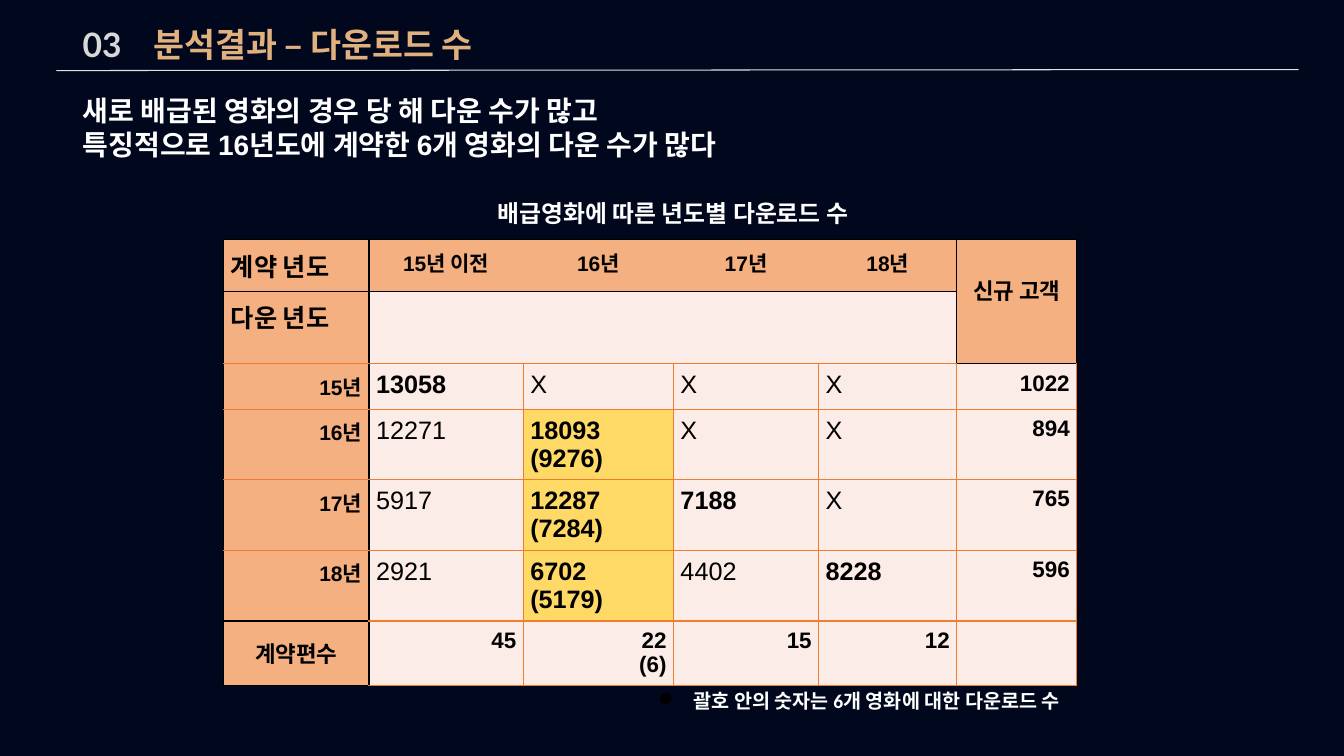
from pptx import Presentation
from pptx.dml.color import RGBColor
from pptx.enum.shapes import MSO_CONNECTOR
from pptx.enum.text import MSO_ANCHOR, MSO_AUTO_SIZE, PP_ALIGN
from pptx.oxml.ns import qn
from pptx.util import Inches, Pt
from lxml.etree import SubElement

COLORS = {
    "bg": "01081D", "white": "FFFFFF", "black": "000000", "number": "D8D8D8",
    "gold": "E0B07E", "rule": "E1E1E2", "head": "F4B081", "body": "FCECE7",
    "highlight": "FFD966", "border": "ED7D31",
}
LEFT, CENTER, RIGHT = PP_ALIGN.LEFT, PP_ALIGN.CENTER, PP_ALIGN.RIGHT
TOP, MIDDLE = MSO_ANCHOR.TOP, MSO_ANCHOR.MIDDLE

TITLE = [[("03", "Lato", "number"), ("\t분석결과 – 다운로드 수", "Lato", "gold")]]
SUMMARY = [
    [("새로 배급된 영화의 경우 당 해 다운 수가 많고", "Calibri", "white")],
    [("특징적으로 ", "Calibri", "white"),
     ("16년도에 계약한 6개 영화의 다운 수가 많다", "Arial", "white")],
]
CAPTION = [[("배급영화에 따른 년도별 다운로드 수", "Calibri", "white")]]
FOOTNOTE = [[("괄호 안의 숫자는 6개 영화에 대한 다운로드 수", "Calibri", "white")]]
DOWNLOADS = [
    ("계약 년도", "15년 이전", "16년", "17년", "18년", "신규 고객"),
    ("다운 년도", "", "", "", "", ""),
    ("15년", "13058", "X", "X", "X", "1022"),
    ("16년", "12271", "18093\n(9276)", "X", "X", "894"),
    ("17년", "5917", "12287\n(7284)", "7188", "X", "765"),
    ("18년", "2921", "6702\n(5179)", "4402", "8228", "596"),
    ("계약편수", "45", "22\n(6)", "15", "12", ""),
]
COL_WIDTHS = (1.44, 1.53, 1.49, 1.44, 1.37, 1.19)
ROW_HEIGHTS = (0.51, 0.68, 0.45, 0.7, 0.7, 0.7, 0.64)
TOTAL_ROW, NEW_COL = len(ROW_HEIGHTS) - 1, len(COL_WIDTHS) - 1


def rgb(name):
    return RGBColor.from_string(COLORS[name])


def format_font(font, size, name, color, bold=True):
    values = {"size": Pt(size), "name": name, "bold": bold}
    for key, value in values.items():
        setattr(font, key, value)
    font.color.rgb = rgb(color)


def fill_text(sp, box, paragraphs, size, align=LEFT, anchor=TOP, inset=0.05):
    for key, value in zip(("left", "top", "width", "height"), box):
        setattr(sp, key, Inches(value))
    tf = sp.text_frame
    frame = {
        "word_wrap": True, "auto_size": MSO_AUTO_SIZE.NONE, "vertical_anchor": anchor,
        "margin_left": Inches(0.1), "margin_right": Inches(0.1),
        "margin_top": Inches(inset), "margin_bottom": Inches(inset),
    }
    for key, value in frame.items():
        setattr(tf, key, value)
    for i, runs in enumerate(paragraphs):
        p = tf.paragraphs[0] if i == 0 else tf.add_paragraph()
        p.alignment, p.space_before = align, Pt(0)
        for text, name, color in runs:
            r = p.add_run()
            r.text = text
            format_font(r.font, size, name, color)
    return tf


def cell_format(row, col):
    if col == 0 and row < 2:
        return 18, LEFT, True
    if row == 0:
        return (16 if col == NEW_COL else 15), CENTER, True
    if row == TOTAL_ROW:
        return 16, (CENTER if col == 0 else RIGHT), True
    if col in (0, NEW_COL):
        return (15 if col == 0 else 16), RIGHT, True
    return 18, LEFT, col == row - 1 or "(" in DOWNLOADS[row][col]


def cell_fill(row, col):
    if col == 0 or row == 0 or (row == 1 and col == NEW_COL):
        return "head"
    return "highlight" if row < TOTAL_ROW and "(" in DOWNLOADS[row][col] else "body"


def vertical_edge(row, x):
    if x < 2:
        return "black"
    if row < 2:
        return "black" if x >= NEW_COL else None
    return "border"


def horizontal_edge(y, col):
    if y == 1:
        return None if col == NEW_COL else "black"
    if y == 0 or (y == 2 and col == NEW_COL) or (y >= TOTAL_ROW and col == 0):
        return "black"
    return "border"


def add_borders(cell, row, col):
    edges = {
        "a:lnL": vertical_edge(row, col), "a:lnR": vertical_edge(row, col + 1),
        "a:lnT": horizontal_edge(row, col), "a:lnB": horizontal_edge(row + 1, col),
    }
    tc_pr = cell._tc.get_or_add_tcPr()
    for i, (tag, color) in enumerate(edges.items()):
        ln = SubElement(tc_pr, qn(tag), w=str(Pt(1)))
        if color:
            fill = SubElement(ln, qn("a:solidFill"))
            SubElement(fill, qn("a:srgbClr"), val=COLORS[color])
        else:
            SubElement(ln, qn("a:noFill"))
        tc_pr.insert(i, ln)


def add_table(slide):
    rows, cols = len(ROW_HEIGHTS), len(COL_WIDTHS)
    table = slide.shapes.add_table(
        rows, cols, Inches(2.22), Inches(2.38),
        Inches(sum(COL_WIDTHS)), Inches(sum(ROW_HEIGHTS))).table
    table.first_row = table.horz_banding = False
    for i, width in enumerate(COL_WIDTHS):
        table.columns[i].width = Inches(width)
    for i, height in enumerate(ROW_HEIGHTS):
        table.rows[i].height = Inches(height)
    for row, texts in enumerate(DOWNLOADS):
        for col, text in enumerate(texts):
            cell = table.cell(row, col)
            cell.text = text
            for side in ("left", "right", "top", "bottom"):
                setattr(cell, "margin_" + side, Inches(0.07))
            size, align, bold = cell_format(row, col)
            for p in cell.text_frame.paragraphs:
                p.alignment = align
                format_font(p.font, size, "Arial", "black", bold)
                for r in p.runs:
                    format_font(r.font, size, "Arial", "black", bold)
            cell.fill.solid()
            cell.fill.fore_color.rgb = rgb(cell_fill(row, col))
            add_borders(cell, row, col)
    table.cell(0, NEW_COL).margin_top = Inches(0.33)
    table.cell(TOTAL_ROW, 0).vertical_anchor = MIDDLE
    table.cell(0, NEW_COL).merge(table.cell(1, NEW_COL))
    table.cell(1, 1).merge(table.cell(1, NEW_COL - 1))


def main():
    prs = Presentation()
    prs.slide_width, prs.slide_height = Inches(13.33), Inches(7.5)
    slide = prs.slides.add_slide(prs.slide_layouts[1])
    slide.background.fill.solid()
    slide.background.fill.fore_color.rgb = rgb("bg")

    tf = fill_text(slide.shapes.title, (0.72, 0.19, 8, 0.5), TITLE, 24, anchor=MIDDLE)
    tabs = SubElement(tf.paragraphs[0]._p.get_or_add_pPr(), qn("a:tabLst"))
    SubElement(tabs, qn("a:tab"), pos=str(Inches(0.7)), algn="l")

    tf = fill_text(slide.placeholders[1], (0.72, 0.88, 11.2, 0.77), SUMMARY, 20)
    for p in tf.paragraphs:
        p_pr = p._p.get_or_add_pPr()
        p_pr.set("marL", "0")
        p_pr.set("indent", "0")
        SubElement(p_pr, qn("a:buNone"))

    line = slide.shapes.add_connector(
        MSO_CONNECTOR.STRAIGHT, Inches(0.56), Inches(0.7), Inches(12.88), Inches(0.69))
    line.line.color.rgb = rgb("rule")
    line.line.width = Pt(0.75)
    SubElement(line._element.spPr, qn("a:effectLst"))

    add_table(slide)
    caption = slide.shapes.add_textbox(0, 0, 0, 0)
    fill_text(caption, (4.44, 1.87, 4.47, 0.44), CAPTION, 17, CENTER, inset=0.1)
    footnote = slide.shapes.add_textbox(0, 0, 0, 0)
    tf = fill_text(footnote, (6.28, 6.73, 4.63, 0.27), FOOTNOTE, 14, inset=0.1)
    p_pr = tf.paragraphs[0]._p.get_or_add_pPr()
    p_pr.set("marL", str(Inches(0.5)))
    p_pr.set("indent", str(Inches(-0.35)))
    bullet_color = SubElement(p_pr, qn("a:buClr"))
    SubElement(bullet_color, qn("a:srgbClr"), val=COLORS["black"])
    SubElement(p_pr, qn("a:buChar"), char="●")

    prs.save("out.pptx")


if __name__ == "__main__":
    main()
